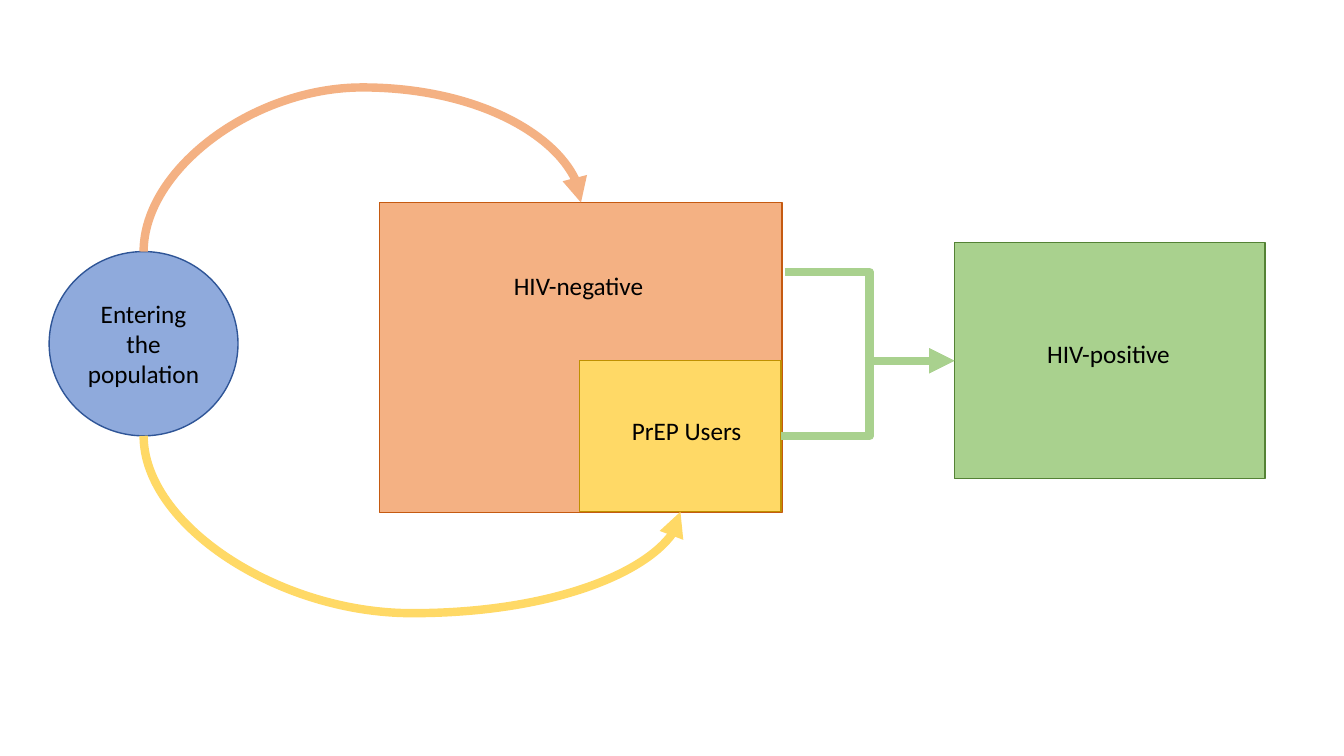
import pptx
import pptx.util
import pptx.dml.color
import pptx.enum.shapes
import pptx.enum.text
import lxml.etree
from collections import namedtuple

Pt = pptx.util.Pt
SHAPE = pptx.enum.shapes.MSO_SHAPE
CONNECTOR = pptx.enum.shapes.MSO_CONNECTOR
ALIGN = pptx.enum.text.PP_ALIGN
ANCHOR = pptx.enum.text.MSO_ANCHOR
DRAWING = "{http://schemas.openxmlformats.org/drawingml/2006/main}"
Box = namedtuple("Box", "left top width height")

ORANGE, YELLOW, GREEN, BLUE = "F4B183", "FFD966", "A9D18E", "8FAADC"
LABEL_FORMAT = {"size": Pt(18), "name": "Calibri"}


def color(hex_code):
    """Turn a hex string into a colour."""
    return pptx.dml.color.RGBColor.from_string(hex_code)


def apply_format(target, values):
    """Set each attribute of the target from a dict."""
    for attribute, value in values.items():
        setattr(target, attribute, value)


def write_label(frame, wording, align):
    """Write one formatted line of text into a text frame."""
    frame.word_wrap = True
    paragraph = frame.paragraphs[0]
    paragraph.alignment = align
    label = paragraph.add_run()
    label.text = wording
    apply_format(label.font, LABEL_FORMAT)
    label.font.color.rgb = color("000000")


def add_group(slide, preset, box, fill, outline):
    """Draw one filled and outlined population group."""
    group = slide.shapes.add_shape(preset, *map(Pt, box))
    group.shadow.inherit = False
    group.fill.solid()
    group.fill.fore_color.rgb = color(fill)
    group.line.color.rgb = color(outline)
    group.line.width = Pt(1)
    return group


def add_caption(slide, box, dx, dy, width, wording):
    """Place a caption at an offset inside a box."""
    place = (box.left + dx, box.top + dy, width, 29)
    caption = slide.shapes.add_textbox(*map(Pt, place))
    write_label(caption.text_frame, wording, ALIGN.LEFT)


def add_flow(slide, kind, start, end, hue, bend, rotation=0):
    """Draw an arrow whose bend is a fraction of its run."""
    flow = slide.shapes.add_connector(kind, *map(Pt, start + end))
    flow.line.color.rgb = color(hue)
    flow.line.width = Pt(6)
    lxml.etree.SubElement(flow.line._get_or_add_ln(), DRAWING + "tailEnd", type="triangle")
    properties = flow._element.spPr
    lxml.etree.SubElement(properties, DRAWING + "effectLst")
    if rotation:
        properties.find(DRAWING + "xfrm").set("rot", str(rotation * 60000))
    bends = properties.find(DRAWING + "prstGeom").find(DRAWING + "avLst")
    lxml.etree.SubElement(bends, DRAWING + "gd", name="adj1", fmla=f"val {round(bend * 100000)}")


def add_arc(slide, start, end, crest, hue):
    """Draw a curved arrow that leaves and arrives vertically through a crest height."""
    middle_x, middle_y = (start[0] + end[0]) / 2, (start[1] + end[1]) / 2
    half_width, half_height = abs(end[1] - start[1]) / 2, (end[0] - start[0]) / 2
    upward = end[1] < start[1]
    rise = half_height if upward else -half_height
    turned_start = (middle_x + half_width, middle_y + rise)
    turned_end = (middle_x - half_width, middle_y - rise)
    bend = (crest - start[1]) / (end[1] - start[1])
    add_flow(slide, CONNECTOR.CURVE, turned_start, turned_end, hue, bend, 90 if upward else 270)


def add_entry(slide, box):
    """Draw the circle for people entering the population."""
    entry = add_group(slide, SHAPE.OVAL, box, BLUE, "2F5597")
    entry.text_frame.vertical_anchor = ANCHOR.MIDDLE
    write_label(entry.text_frame, "Entering the population", ALIGN.CENTER)


def add_negative(slide, box, users):
    """Draw the HIV-negative group with its PrEP users inside."""
    add_group(slide, SHAPE.RECTANGLE, box, ORANGE, "C55A11")
    add_group(slide, SHAPE.RECTANGLE, users, YELLOW, "BF9000")


def add_positive(slide, box):
    """Draw the HIV-positive group."""
    add_group(slide, SHAPE.RECTANGLE, box, GREEN, "548235")


def add_flows(slide, entry, negative, users, positive):
    """Draw the four arrows between the groups."""
    entry_x = entry.left + entry.width / 2
    users_bottom = (users.left + users.width / 2, users.top + users.height)
    negative_top = (negative.left + negative.width / 2, negative.top)
    add_arc(slide, (entry_x, entry.top + entry.height), users_bottom, 438, YELLOW)
    add_arc(slide, (entry_x, entry.top), negative_top, 62.5, ORANGE)
    infection = (positive.left, positive.top + positive.height / 2)
    negative_exit = (negative.left + negative.width + 2, negative.top + 49.6)
    users_exit = (users.left + users.width, users.top + users.height / 2)
    for start, bend in ((negative_exit, 0.5), (users_exit, 0.51)):
        add_flow(slide, CONNECTOR.ELBOW, start, infection, GREEN, bend)


def add_captions(slide, negative, users, positive):
    """Name the rectangular groups."""
    add_caption(slide, negative, 88.7, 44.6, 215, "HIV-negative")
    add_caption(slide, users, 30.2, 35.2, 112, "PrEP Users")
    add_caption(slide, positive, 59.2, 64.7, 120, "HIV-positive")


def build_model(slide):
    """Lay out the population model on the slide."""
    entry = Box(35.1, 179.7, 134.9, 131.6)
    negative = Box(271.2, 144.7, 287.5, 221.5)
    users = Box(414, 257.6, 144, 108)
    positive = Box(681.7, 173.4, 221.9, 168.6)
    add_negative(slide, negative, users)
    add_positive(slide, positive)
    add_entry(slide, entry)
    add_flows(slide, entry, negative, users, positive)
    add_captions(slide, negative, users, positive)


deck = pptx.Presentation()
apply_format(deck, {"slide_width": Pt(960), "slide_height": Pt(540)})
build_model(deck.slides.add_slide(deck.slide_layouts[6]))
deck.save("out.pptx")
